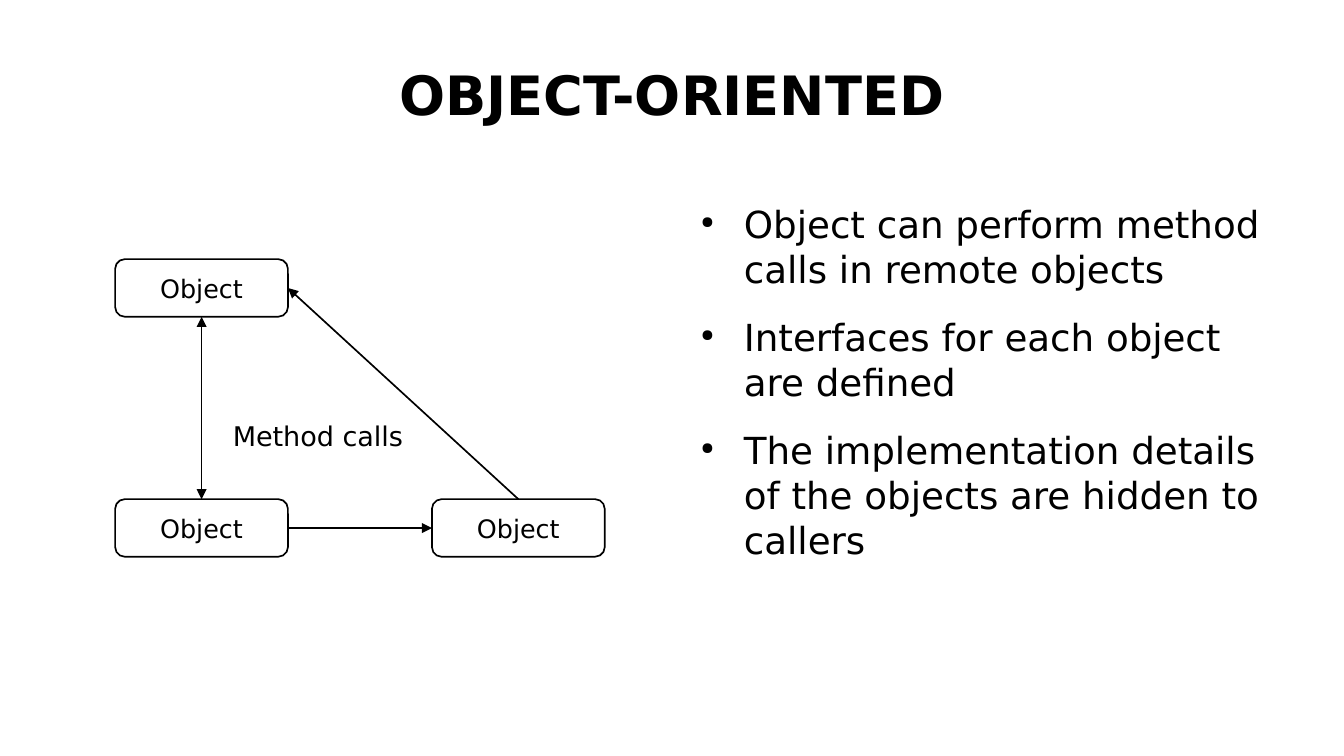
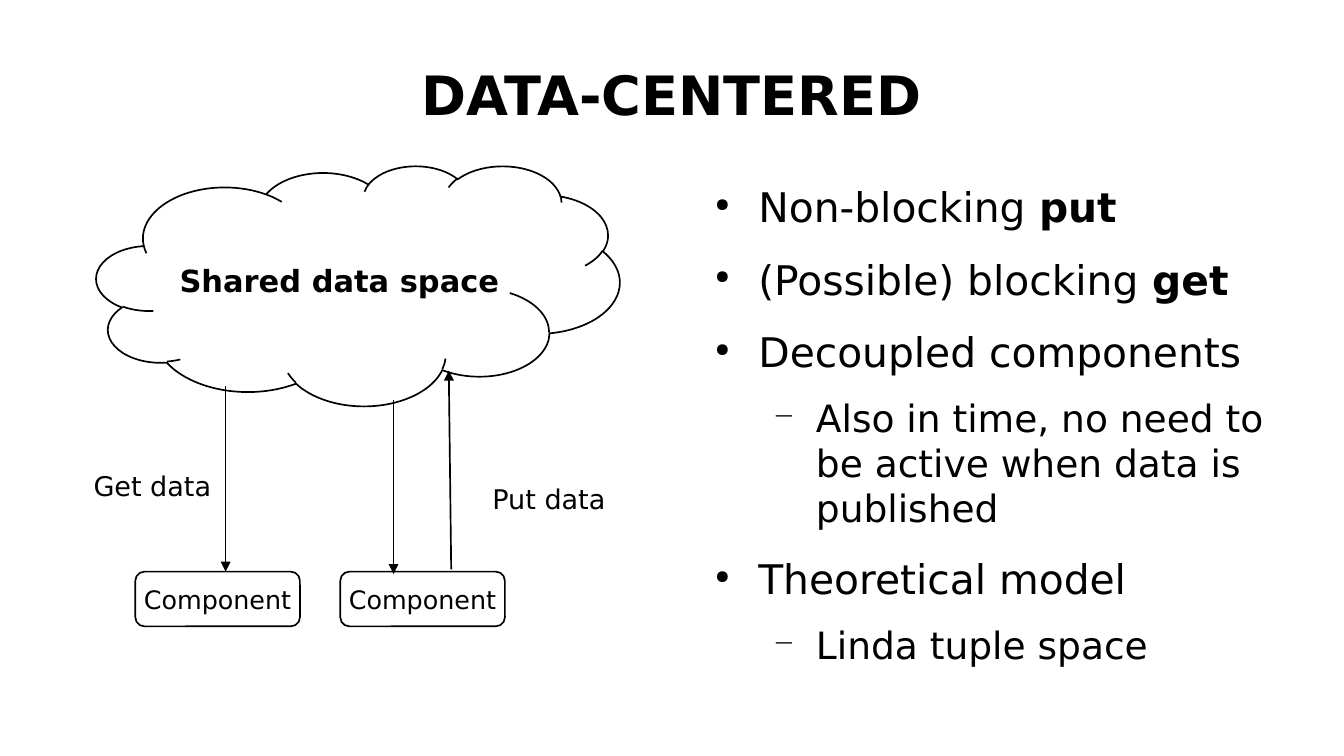
from lxml import etree
from pptx import Presentation
from pptx.dml.color import RGBColor
from pptx.enum.shapes import MSO_CONNECTOR, MSO_SHAPE
from pptx.enum.text import MSO_ANCHOR, PP_ALIGN
from pptx.oxml.ns import qn
from pptx.util import Cm, Pt

ROUNDED, CLOUD = MSO_SHAPE.ROUNDED_RECTANGLE, MSO_SHAPE.CLOUD
STRAIGHT = MSO_CONNECTOR.STRAIGHT
CENTER, LEFT = PP_ALIGN.CENTER, PP_ALIGN.LEFT
MIDDLE, TOP_ANCHOR = MSO_ANCHOR.MIDDLE, MSO_ANCHOR.TOP
TOP, LEFT_SIDE, BOTTOM, RIGHT_SIDE = range(4)

FONT = "DejaVu Sans"
BLACK, WHITE = "000000", "FFFFFF"
TITLE_AREA = (1.4, 0.64, 25.2, 2.62)
BODY_SIZE = (12.3, 9.14)
# Per level: bullet, bullet size in %, left margin in cm, space before in pt
LEVELS = [("●", 45, 1.2, 14.1), ("−", 75, 2.4, 11.1)]
HANGING = 0.9

# Bullets: (level, plain text, bold ending)
OBJECT_POINTS = [
    (0, "Object can perform method calls in remote objects", ""),
    (0, "Interfaces for each object are defined", ""),
    (0, "The implementation details of the objects are hidden to callers", ""),
]
OBJECT_SIZE = (3.6, 1.2)
OBJECTS = {"upper": (2.4, 5.4), "lower": (2.4, 10.4), "right": (9, 10.4)}
# Calls: from object, side, to object, side, arrows at both ends
CALLS = [
    ("lower", RIGHT_SIDE, "right", LEFT_SIDE, False),
    ("right", TOP, "upper", RIGHT_SIDE, False),
    ("upper", BOTTOM, "lower", TOP, True),
]
CALL_LABELS = [("Method calls", (4.6, 8.61, 4.2, 1.02))]

DATA_POINTS = [
    (0, "Non-blocking ", "put"),
    (0, "(Possible) blocking ", "get"),
    (0, "Decoupled components", ""),
    (1, "Also in time, no need to be active when data is published", ""),
    (0, "Theoretical model", ""),
    (1, "Linda tuple space", ""),
]
CLOUD_AREA = (2.01, 3.45, 10.9, 5)
COMPONENT_SIZE = (3.43, 1.14)
COMPONENTS = [(2.82, 11.91), (7.09, 11.91)]
DATA_FLOWS = [
    ((4.7, 8.05), (4.7, 11.91)),
    ((8.2, 8.33), (8.2, 11.96)),
    ((9.4, 11.86), (9.35, 7.72)),
]
FLOW_LABELS = [("Put data", (10.01, 9.93, 3.25, 1.02)),
               ("Get data", (1.7, 9.65, 3.2, 1.02))]


def rgb(color):
    return RGBColor.from_string(color)


def cms(values):
    return [Cm(v) for v in values]


def style(run, size, bold=False):
    run.font.name, run.font.size, run.font.bold = FONT, Pt(size), bold
    run.font.color.rgb = rgb(BLACK)


def set_frame(tf, insets, anchor, wrap):
    tf.margin_left = tf.margin_right = Cm(insets[0])
    tf.margin_top = tf.margin_bottom = Cm(insets[1])
    tf.vertical_anchor, tf.word_wrap = anchor, wrap


def write(tf, text, size, bold=False, align=CENTER):
    tf.text = text
    p = tf.paragraphs[0]
    p.alignment = align
    style(p.runs[0], size, bold)


def add_node(s, kind, area, text, size, bold=False):
    node = s.shapes.add_shape(kind, *cms(area))
    node.shadow.inherit = False
    node.fill.solid()
    node.fill.fore_color.rgb = rgb(WHITE)
    node.line.color.rgb = rgb(BLACK)
    node.line.width = Pt(1)
    set_frame(node.text_frame, (0.28, 0.15), MIDDLE, False)
    write(node.text_frame, text, size, bold)
    return node


def add_arrow(s, start=(0, 0), end=(0, 0), both=False):
    arrow = s.shapes.add_connector(STRAIGHT, *cms(start + end))
    arrow.line.color.rgb = rgb(BLACK)
    arrow.line.width = Pt(1)
    ln = arrow.line._get_or_add_ln()
    for tag in ("a:headEnd", "a:tailEnd") if both else ("a:tailEnd",):
        etree.SubElement(ln, qn(tag), type="triangle")
    etree.SubElement(arrow._element.spPr, qn("a:effectLst"))
    return arrow


def add_labels(s, labels):
    for text, area in labels:
        tf = s.shapes.add_textbox(*cms(area)).text_frame
        set_frame(tf, (0.25, 0.13), TOP_ANCHOR, True)
        write(tf, text, 16, align=LEFT)


def add_bullet(p, level):
    char, percent, margin, _ = LEVELS[level]
    pPr = p._p.get_or_add_pPr()
    pPr.set("marL", str(Cm(margin)))
    pPr.set("indent", str(-Cm(HANGING)))
    color = etree.SubElement(pPr, qn("a:buClr"))
    etree.SubElement(color, qn("a:srgbClr"), val=BLACK)
    etree.SubElement(pPr, qn("a:buSzPct"), val=str(percent * 1000))
    etree.SubElement(pPr, qn("a:buChar"), char=char)


def add_points(s, corner, points, sizes):
    tf = s.shapes.add_textbox(*cms(corner + BODY_SIZE)).text_frame
    set_frame(tf, (0, 0), TOP_ANCHOR, True)
    for i, (level, text, ending) in enumerate(points):
        p = tf.add_paragraph() if i else tf.paragraphs[0]
        add_bullet(p, level)
        p.level = level
        p.space_before = Pt(LEVELS[level][3] if i else 0)
        for part, bold in ((text, False), (ending, True)):
            if part:
                r = p.add_run()
                r.text = part
                style(r, sizes[level], bold)


def add_slide(prs, title):
    s = prs.slides.add_slide(prs.slide_layouts[6])
    tf = s.shapes.add_textbox(*cms(TITLE_AREA)).text_frame
    set_frame(tf, (0, 0), MIDDLE, True)
    write(tf, title, 32, True)
    return s


def object_slide(prs):
    s = add_slide(prs, "OBJECT-ORIENTED")
    add_points(s, (14.3, 4.19), OBJECT_POINTS, (22,))
    nodes = {name: add_node(s, ROUNDED, corner + OBJECT_SIZE, "Object", 15)
             for name, corner in OBJECTS.items()}
    for source, side, target, target_side, both in CALLS:
        arrow = add_arrow(s, both=both)
        arrow.begin_connect(nodes[source], side)
        arrow.end_connect(nodes[target], target_side)
    add_labels(s, CALL_LABELS)


def data_slide(prs):
    s = add_slide(prs, "DATA-CENTERED")
    add_points(s, (14.6, 3.78), DATA_POINTS, (24.1, 22.2))
    add_node(s, CLOUD, CLOUD_AREA, "Shared data space", 18, True)
    for corner in COMPONENTS:
        add_node(s, ROUNDED, corner + COMPONENT_SIZE, "Component", 15)
    for start, end in DATA_FLOWS:
        add_arrow(s, start, end)
    add_labels(s, FLOW_LABELS)


def main():
    prs = Presentation()
    prs.slide_width, prs.slide_height = Cm(28), Cm(15.75)
    object_slide(prs)
    data_slide(prs)
    prs.save("out.pptx")


if __name__ == "__main__":
    main()
